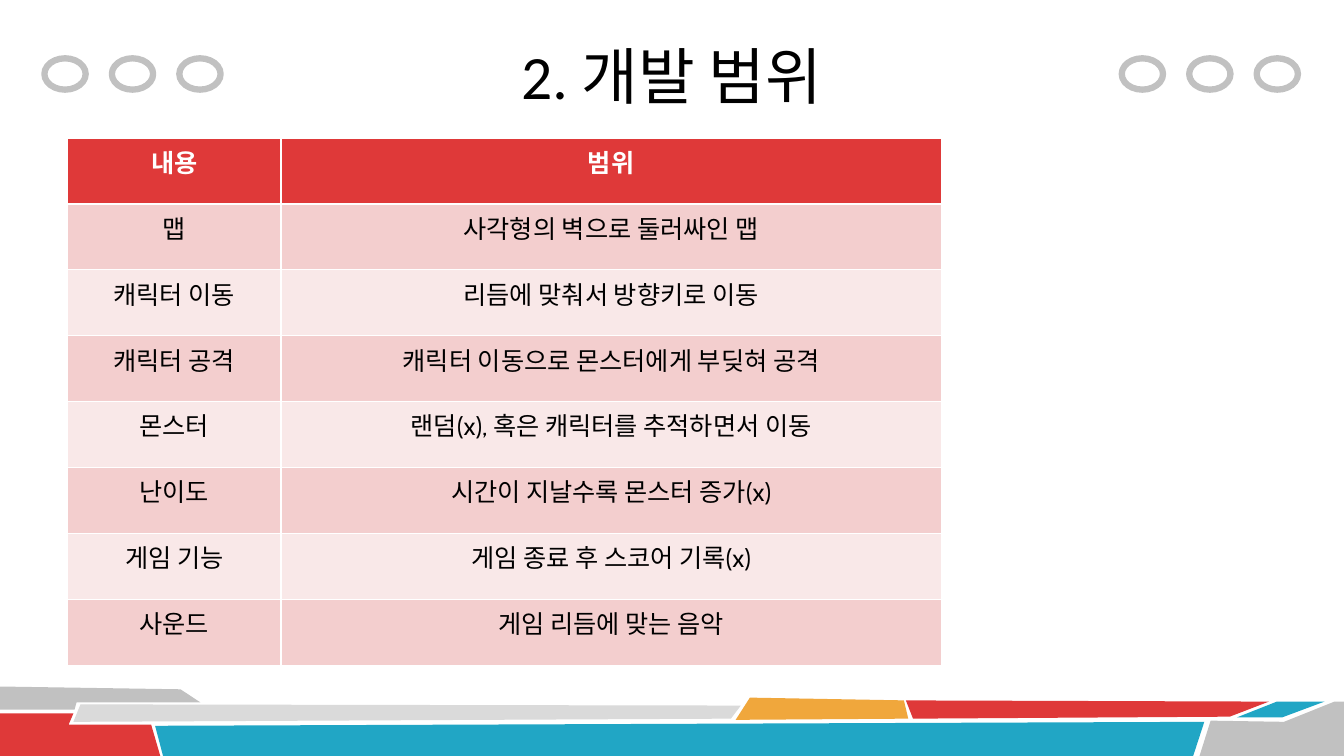
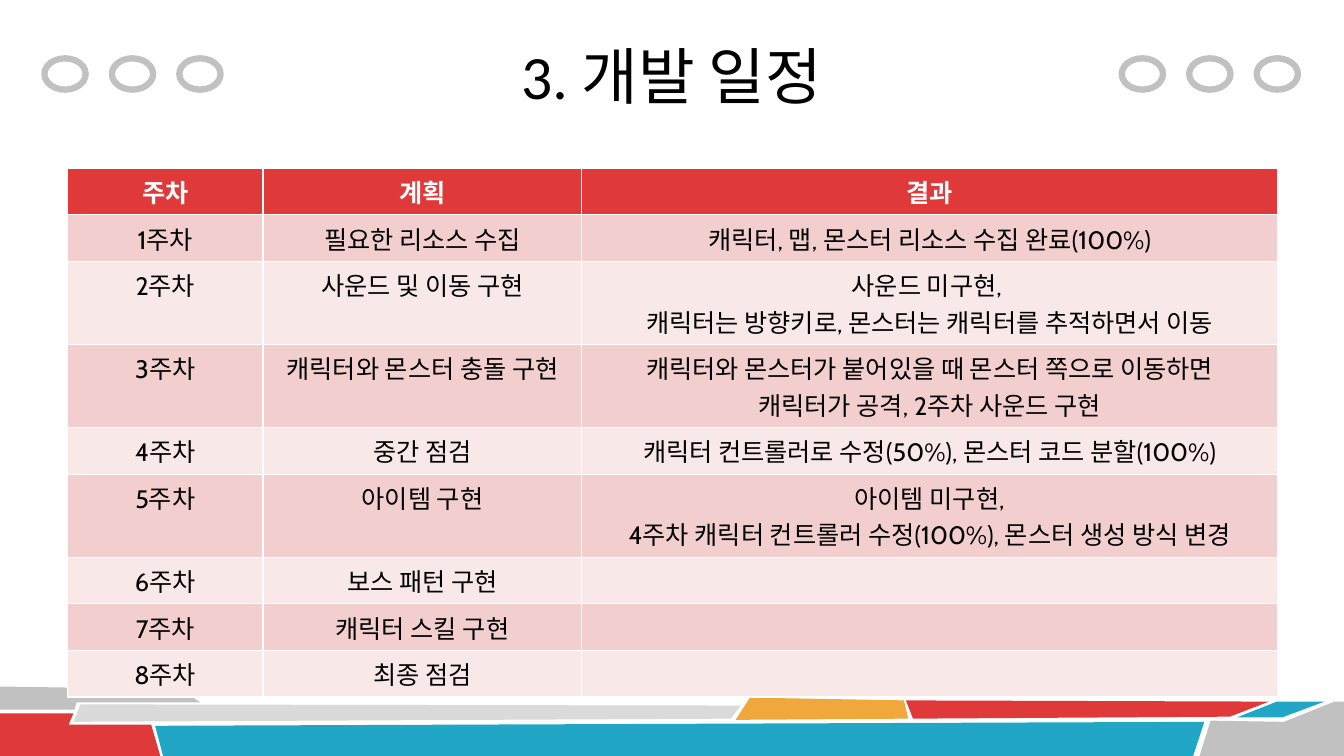
import pptx
import pptx.util
import pptx.dml.color
import pptx.enum.shapes
import pptx.enum.text

Cm = pptx.util.Cm
Pt = pptx.util.Pt
CENTER = pptx.enum.text.PP_ALIGN.CENTER
RED, TEAL, ORANGE = "DF3939", "21A6C5", "F0A73C"
GRAY, LIGHT_GRAY = "C1C1C1", "DADADA"
PINKS = ("F9E8E8", "F3CECE")
WHITE, BLACK = "FFFFFF", "000000"


def rgb(value):
    """Return the colour for a hex string."""
    return pptx.dml.color.RGBColor.from_string(value)


def add_run(p, text, font, size, color, bold=False):
    """Add a centred, formatted run to a paragraph."""
    p.alignment = CENTER
    r = p.add_run()
    r.text = text
    r.font.name, r.font.size, r.font.bold = font, Pt(size), bold
    r.font.color.rgb = rgb(color)


prs = pptx.Presentation()
prs.slide_width, prs.slide_height = Cm(33.87), Cm(19.05)

# Shared layout: title frame, footer bands and corner rings
layout = prs.slide_layouts.get_by_name("Title Only")
title = layout.placeholders[0]
title.left, title.top, title.width, title.height = Cm(5.92), Cm(0.3), Cm(22.02), Cm(3.18)
title.text_frame.vertical_anchor = pptx.enum.text.MSO_ANCHOR.MIDDLE

bands = [
    (GRAY, [(0, 17.3), (4.55, 17.37), (5.05, 17.7), (1.93, 17.7), (1.88, 17.88), (0, 17.88)]),
    (RED, [(0, 17.98), (1.85, 17.98), (1.73, 18.26), (3.81, 18.26), (4.04, 19.05), (0, 19.05)]),
    (LIGHT_GRAY, [(2.03, 17.75), (18.67, 17.78), (18.42, 18.11), (1.85, 18.19)]),
    (TEAL, [(3.91, 18.29), (30.35, 18.19), (30.07, 19.05), (4.11, 19.05)]),
    (ORANGE, [(18.9, 17.58), (22.78, 17.65), (22.89, 18.11), (18.54, 18.14)]),
    (RED, [(22.83, 17.65), (31.98, 17.68), (30.99, 18.06), (23.01, 18.11)]),
    (TEAL, [(32.18, 17.68), (33.38, 17.68), (32.31, 18.08), (31.17, 18.08)]),
    (GRAY, [(30.51, 18.16), (32.36, 18.19), (33.63, 17.68), (33.87, 17.68),
            (33.87, 19.05), (30.23, 19.05)]),
]
s = prs.slides.add_slide(layout)
decor = []
for color, points in bands:
    corners = [(Cm(x), Cm(y)) for x, y in points]
    builder = s.shapes.build_freeform(*corners[0])
    builder.add_line_segments(corners[1:], close=True)
    band = builder.convert_to_shape()
    band.fill.solid()
    band.fill.fore_color.rgb = rgb(color)
    band.line.fill.background()
    decor.append(band)

for group_left in (1.12, 28.27):
    for i in range(3):
        ring = s.shapes.add_shape(pptx.enum.shapes.MSO_SHAPE.OVAL,
                                  Cm(group_left + 1.7 * i), Cm(1.47), Cm(1.04), Cm(0.79))
        ring.fill.background()
        ring.line.color.rgb = rgb(GRAY)
        ring.line.width = Pt(4.5)
        decor.append(ring)

# Move the decoration to the layout, with ids that are free there
for number, sp in enumerate(decor, start=100):
    sp.shadow.inherit = False
    sp.element.nvSpPr.cNvPr.id = number
    layout.shapes.element.append(sp.element)

scope = [
    ("내용", "범위"),
    ("맵", "사각형의 벽으로 둘러싸인 맵"),
    ("캐릭터 이동", "리듬에 맞춰서 방향키로 이동"),
    ("캐릭터 공격", "캐릭터 이동으로 몬스터에게 부딪혀 공격"),
    ("몬스터", "랜덤(x), 혹은 캐릭터를 추적하면서 이동"),
    ("난이도", "시간이 지날수록 몬스터 증가(x)"),
    ("게임 기능", "게임 종료 후 스코어 기록(x)"),
    ("사운드", "게임 리듬에 맞는 음악"),
]
schedule = [
    ("주차", "계획", "결과"),
    ("1주차", "필요한 리소스 수집", "캐릭터, 맵, 몬스터 리소스 수집 완료(100%)"),
    ("2주차", "사운드 및 이동 구현",
     "사운드 미구현, \n캐릭터는 방향키로, 몬스터는 캐릭터를 추적하면서 이동"),
    ("3주차", "캐릭터와 몬스터 충돌 구현",
     "캐릭터와 몬스터가 붙어있을 때 몬스터 쪽으로 이동하면\n캐릭터가 공격, 2주차 사운드 구현"),
    ("4주차", "중간 점검", "캐릭터 컨트롤러로 수정(50%), 몬스터 코드 분할(100%)"),
    ("5주차", "아이템 구현",
     "아이템 미구현,\n4주차 캐릭터 컨트롤러 수정(100%), 몬스터 생성 방식 변경"),
    ("6주차", "보스 패턴 구현", ""),
    ("7주차", "캐릭터 스킬 구현", ""),
    ("8주차", "최종 점검", ""),
]
# Slide, title, table top, column widths, row height, rows
pages = [
    (s, "2. 개발 범위", 3.48, (5.38, 16.64), 1.66, scope),
    (prs.slides.add_slide(layout), "3. 개발 일정", 4.24, (4.93, 8.03, 17.53), 1.03, schedule),
]

for s, heading, top, widths, row_height, rows in pages:
    add_run(s.shapes.title.text_frame.paragraphs[0], heading, "Calibri", 44, BLACK)
    table = s.shapes.add_table(len(rows), len(widths), Cm(1.7), Cm(top),
                               Cm(sum(widths)), Cm(row_height * len(rows))).table
    for column, width in zip(table.columns, widths):
        column.width = Cm(width)
    for i, texts in enumerate(rows):
        table.rows[i].height = Cm(row_height)
        header = i == 0
        for cell, text in zip(table.rows[i].cells, texts):
            cell.fill.solid()
            cell.fill.fore_color.rgb = rgb(RED if header else PINKS[i % 2])
            tf = cell.text_frame
            for k, line in enumerate(text.split("\n") if text else []):
                p = tf.add_paragraph() if k else tf.paragraphs[0]
                add_run(p, line, "Cabin", 18, WHITE if header else BLACK, header)

prs.save("out.pptx")
